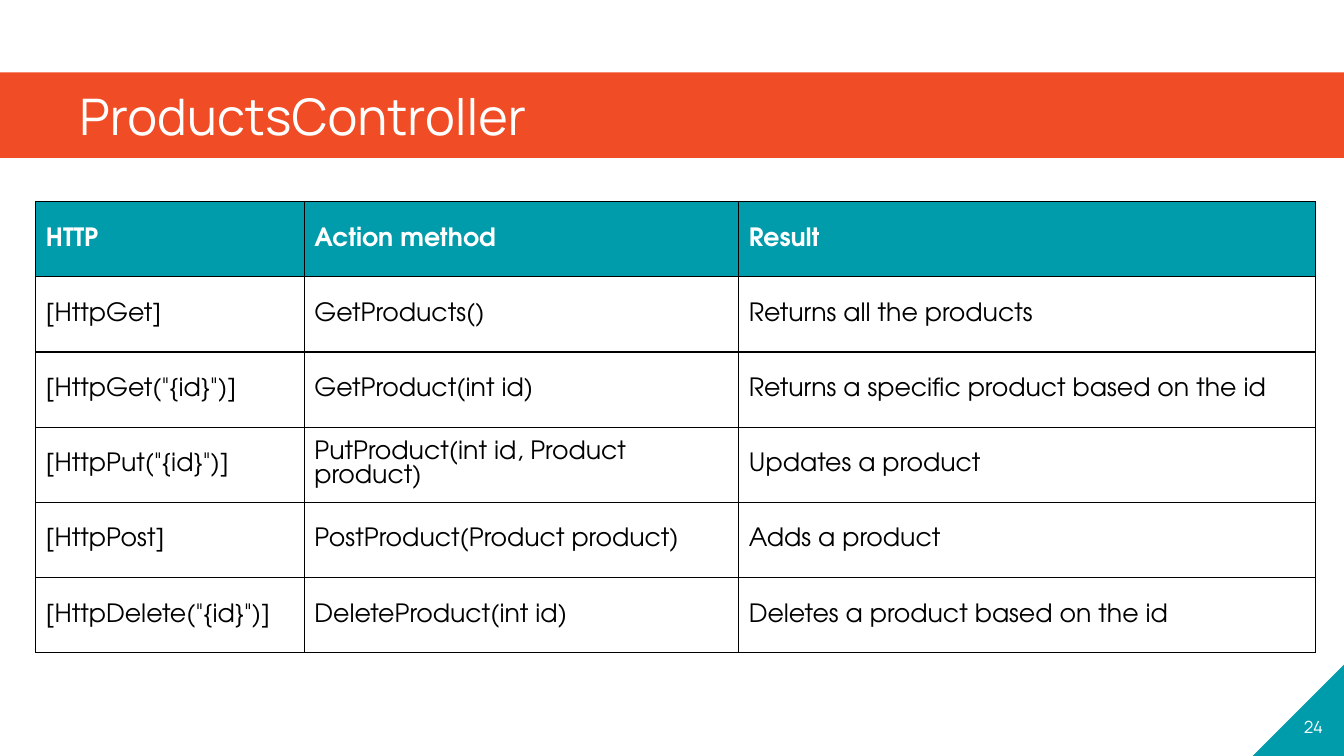
import pptx
import pptx.dml.color
import pptx.enum.shapes
import pptx.enum.text
import pptx.oxml
import pptx.oxml.ns
import pptx.util

Pt = pptx.util.Pt
SHAPE = pptx.enum.shapes.MSO_SHAPE
ANCHOR = pptx.enum.text.MSO_ANCHOR
ALIGN = pptx.enum.text.PP_ALIGN

WIDTH, HEIGHT = 960, 540
ORANGE, TEAL, WHITE, BLACK = "F04C25", "009CAB", "FFFFFF", "000000"
HEADING_FONT, TABLE_FONT = "Manrope", "TeX Gyre Adventor"

COLUMN_WIDTHS = [191.8, 310.3, 411.9]
ROWS = [
    ("HTTP", "Action method", "Result"),
    ("[HttpGet]", "GetProducts()", "Returns all the products"),
    ('[HttpGet("{id}")]', "GetProduct(int id)",
     "Returns a specific product based on the id"),
    ('[HttpPut("{id}")]', "PutProduct(int id, Product product)",
     "Updates a product"),
    ("[HttpPost]", "PostProduct(Product product)", "Adds a product"),
    ('[HttpDelete("{id}")]', "DeleteProduct(int id)",
     "Deletes a product based on the id"),
]


def color(value):
    return pptx.dml.color.RGBColor.from_string(value)


def add_run(p, text, font, size, fill, bold=False):
    r = p.add_run()
    r.text = text
    r.font.name, r.font.size, r.font.bold = font, Pt(size), bold
    r.font.color.rgb = color(fill)
    return r


def add_filled_shape(s, kind, box, fill, margins, anchor):
    sp = s.shapes.add_shape(kind, *map(Pt, box))
    sp.shadow.inherit = False
    sp.fill.solid()
    sp.fill.fore_color.rgb = color(fill)
    sp.line.fill.background()
    tf = sp.text_frame
    tf.margin_left, tf.margin_top, tf.margin_right, tf.margin_bottom = map(Pt, margins)
    tf.word_wrap = False
    tf.vertical_anchor = anchor
    return sp


def add_title_band(s, box, text):
    sp = add_filled_shape(s, SHAPE.RECTANGLE, box, ORANGE, (56.7, 0, 56.7, 0), ANCHOR.MIDDLE)
    p = sp.text_frame.paragraphs[0]
    p.alignment = ALIGN.LEFT
    add_run(p, text, HEADING_FONT, 36, WHITE)


def add_page_corner(s, box, number):
    sp = add_filled_shape(s, SHAPE.RIGHT_TRIANGLE, box, TEAL, (0, 0, 0, 8.5), ANCHOR.BOTTOM)
    sp.element.spPr.xfrm.set("flipH", "1")
    p = sp.text_frame.paragraphs[0]
    p.alignment = ALIGN.CENTER
    r = add_run(p, number, HEADING_FONT, 12, WHITE)
    r.font._element.set("spc", "20")


def add_borders(cell):
    # Borders come before the fill in the cell properties
    tcPr = cell._tc.get_or_add_tcPr()
    for i, side in enumerate(("lnL", "lnR", "lnT", "lnB")):
        tcPr.insert(i, pptx.oxml.parse_xml(
            f'<a:{side} {pptx.oxml.ns.nsdecls("a")} w="{Pt(1)}"><a:solidFill>'
            f'<a:srgbClr val="{BLACK}"/></a:solidFill></a:{side}>'))


def add_method_table(s, box, rows, widths):
    left, top, width, height = box
    frame = s.shapes.add_table(len(rows), len(widths), *map(Pt, box))
    table = frame.table
    for column, column_width in zip(table.columns, widths):
        column.width = Pt(column_width)
    for i, texts in enumerate(rows):
        table.rows[i].height = Pt(height / len(rows))
        header = i == 0
        for j, text in enumerate(texts):
            cell = table.cell(i, j)
            cell.vertical_anchor = ANCHOR.MIDDLE
            cell.fill.solid()
            cell.fill.fore_color.rgb = color(TEAL if header else WHITE)
            add_borders(cell)
            p = cell.text_frame.paragraphs[0]
            add_run(p, text, TABLE_FONT, 18, WHITE if header else BLACK, header)


def main():
    prs = pptx.Presentation()
    prs.slide_width, prs.slide_height = Pt(WIDTH), Pt(HEIGHT)
    s = prs.slides.add_slide(prs.slide_layouts[6])

    # Title band across the slide
    add_title_band(s, (0, 51.75, WIDTH, 61), "ProductsController")

    # Page number in the bottom right corner
    corner = 65.25
    add_page_corner(s, (WIDTH - corner, HEIGHT - corner, corner, corner), "24")

    # Controller methods
    add_method_table(s, (25.6, 144, sum(COLUMN_WIDTHS), 322.3), ROWS, COLUMN_WIDTHS)

    prs.save("out.pptx")


if __name__ == "__main__":
    main()
